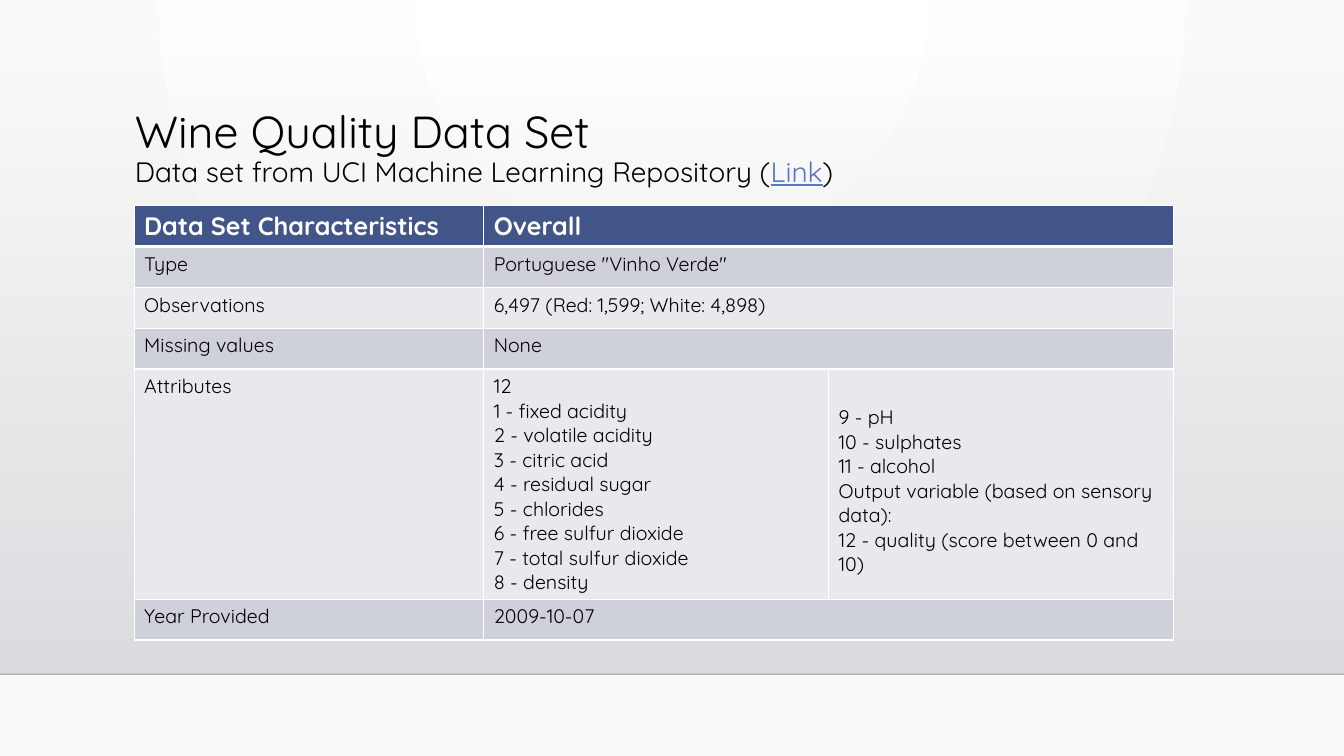
from lxml import etree
from pptx import Presentation
from pptx.dml.color import RGBColor
from pptx.enum.shapes import MSO_CONNECTOR, MSO_SHAPE
from pptx.enum.text import MSO_ANCHOR, PP_ALIGN
from pptx.oxml import parse_xml
from pptx.oxml.ns import nsdecls, qn
from pptx.util import Cm, Pt

FONT = "Quicksand"
COLORS = {
    "page_inner": "FFFFFF", "page_outer": "FAFAFA",
    "shade_top": "DCDCE0", "shade_bottom": "DEDEE2", "floor": "000001",
    "text": "000000", "link": "5977C4", "white": "FFFFFF",
    "header": "415588", "band_dark": "CFD1DA", "band_light": "E9E9ED",
}
RED_WHITE = "6,497 (Red: 1,599; White: 4,898)"
# Each cell is a list of lines; a lone second cell spans both value columns
ROWS = [
    [["Data Set Characteristics"], ["Overall"]],
    [["Type"], ['Portuguese "Vinho Verde"']],
    [["Observations"], [RED_WHITE]],
    [["Missing values"], ["None"]],
    [["Attributes"],
     ["12", "1 - fixed acidity", "2 - volatile acidity", "3 - citric acid",
      "4 - residual sugar", "5 - chlorides", "6 - free sulfur dioxide",
      "7 - total sulfur dioxide", "8 - density"],
     ["", "9 - pH", "10 - sulphates", "11 - alcohol",
      "Output variable (based on sensory data):",
      "12 - quality (score between 0 and 10)"]],
    [["Year Provided"], ["2009-10-07"]],
]


def rgb(key):
    return RGBColor.from_string(COLORS[key])


def add_run(paragraph, text, size, color="text", bold=False, underline=False):
    run = paragraph.add_run()
    run.text = text
    run.font.name, run.font.size = FONT, Pt(size)
    run.font.bold, run.font.underline = bold, underline
    run.font.color.rgb = rgb(color)


def set_gradient(fill, parent, stops, direction):
    """Give a fill its (position, colour, alpha) stops and its direction."""
    fill.gradient()
    stop_xml = "".join(
        f'<a:gs pos="{pos * 1000}"><a:srgbClr val="{COLORS[key]}">'
        f'<a:alpha val="{alpha * 1000}"/></a:srgbClr></a:gs>'
        for pos, key, alpha in stops)
    old = parent.find(qn("a:gradFill"))
    parent.replace(old, parse_xml(
        f'<a:gradFill {nsdecls("a")} rotWithShape="1"><a:gsLst>{stop_xml}'
        f'</a:gsLst>{direction}</a:gradFill>'))


def add_backdrop(slide, left, top, width, height):
    # Radial page background
    background = slide.background.fill
    set_gradient(background, slide.element.cSld.find(qn("p:bg")).find(qn("p:bgPr")),
                 [(0, "page_inner", 100), (100, "page_outer", 100)],
                 '<a:path path="circle"><a:fillToRect l="43000" t="0" '
                 'r="43000" b="100000"/></a:path>')
    # Shade that grows towards the floor
    shade = slide.shapes.add_shape(MSO_SHAPE.RECTANGLE, left, top, width, height)
    shade.shadow.inherit = False
    shade.line.fill.background()
    set_gradient(shade.fill, shade.element.spPr,
                 [(0, "shade_top", 0), (100, "shade_bottom", 100)],
                 '<a:lin ang="5400000" scaled="0"/>')
    # Floor line
    floor = slide.shapes.add_connector(
        MSO_CONNECTOR.STRAIGHT, left, top + height, left + width, top + height)
    floor.line.width = Pt(1)
    floor.line.color.rgb = rgb("floor")
    properties = floor.element.spPr
    tint = properties.find(".//" + qn("a:srgbClr"))
    etree.SubElement(tint, qn("a:alpha")).set("val", "20000")
    etree.SubElement(properties, qn("a:effectLst"))


def add_heading(slide, left, top, width, height):
    frame = slide.shapes.add_textbox(left, top, width, height).text_frame
    frame.word_wrap = True
    frame.vertical_anchor = MSO_ANCHOR.TOP
    heading = frame.paragraphs[0]
    heading.alignment = PP_ALIGN.LEFT
    heading.line_spacing = 0.9
    add_run(heading, "Wine Quality Data Set", 32)
    heading.add_line_break()
    add_run(heading, "Data set from UCI Machine Learning Repository (", 20)
    add_run(heading, "Link", 20, "link", underline=True)
    add_run(heading, ")", 20)


def set_borders(cell, is_header, below_header):
    widths = {"L": 1, "R": 1, "T": 3 if below_header else 1,
              "B": 3 if is_header else 1}
    properties = cell._tc.get_or_add_tcPr()
    for index, (side, width) in enumerate(widths.items()):
        properties.insert(index, parse_xml(
            f'<a:ln{side} {nsdecls("a")} w="{Pt(width)}"><a:solidFill>'
            f'<a:srgbClr val="{COLORS["white"]}"/></a:solidFill></a:ln{side}>'))


def add_characteristics(slide, left, top, width, height):
    row_height = Cm(1.03)
    table = slide.shapes.add_table(len(ROWS), 3, left, top, width, height).table
    # The two value columns share what the label column leaves
    label_width = Cm(8.81)
    value_width = (width - label_width) // 2
    for column, column_width in zip(table.columns,
                                    (label_width, value_width, value_width)):
        column.width = column_width
    for r, texts in enumerate(ROWS):
        is_header = r == 0
        is_tall = len(texts) == 3
        table.rows[r].height = (height - row_height * (len(ROWS) - 1)
                                if is_tall else row_height)
        band = "header" if is_header else "band_dark" if r % 2 else "band_light"
        for c in range(3):
            cell = table.cell(r, c)
            cell.fill.solid()
            cell.fill.fore_color.rgb = rgb(band)
            set_borders(cell, is_header, r == 1)
        if not is_tall:
            table.cell(r, 1).merge(table.cell(r, 2))
        for c, lines in enumerate(texts):
            content = table.cell(r, c).text_frame.paragraphs[0]
            for i, line in enumerate(lines):
                if i:
                    content.add_line_break()
                add_run(content, line, 18 if is_header else 14,
                        "white" if is_header else "text", bold=is_header)


presentation = Presentation()
presentation.slide_width, presentation.slide_height = Cm(33.87), Cm(19.05)
wine_slide = presentation.slides.add_slide(presentation.slide_layouts[6])
add_backdrop(wine_slide, 0, Cm(1.3), presentation.slide_width, Cm(15.69))
add_heading(wine_slide, Cm(3.15), Cm(2.64), Cm(26.67), Cm(2.92))
add_characteristics(wine_slide, Cm(3.38), Cm(5.18), Cm(26.19), Cm(10.95))
presentation.save("out.pptx")
